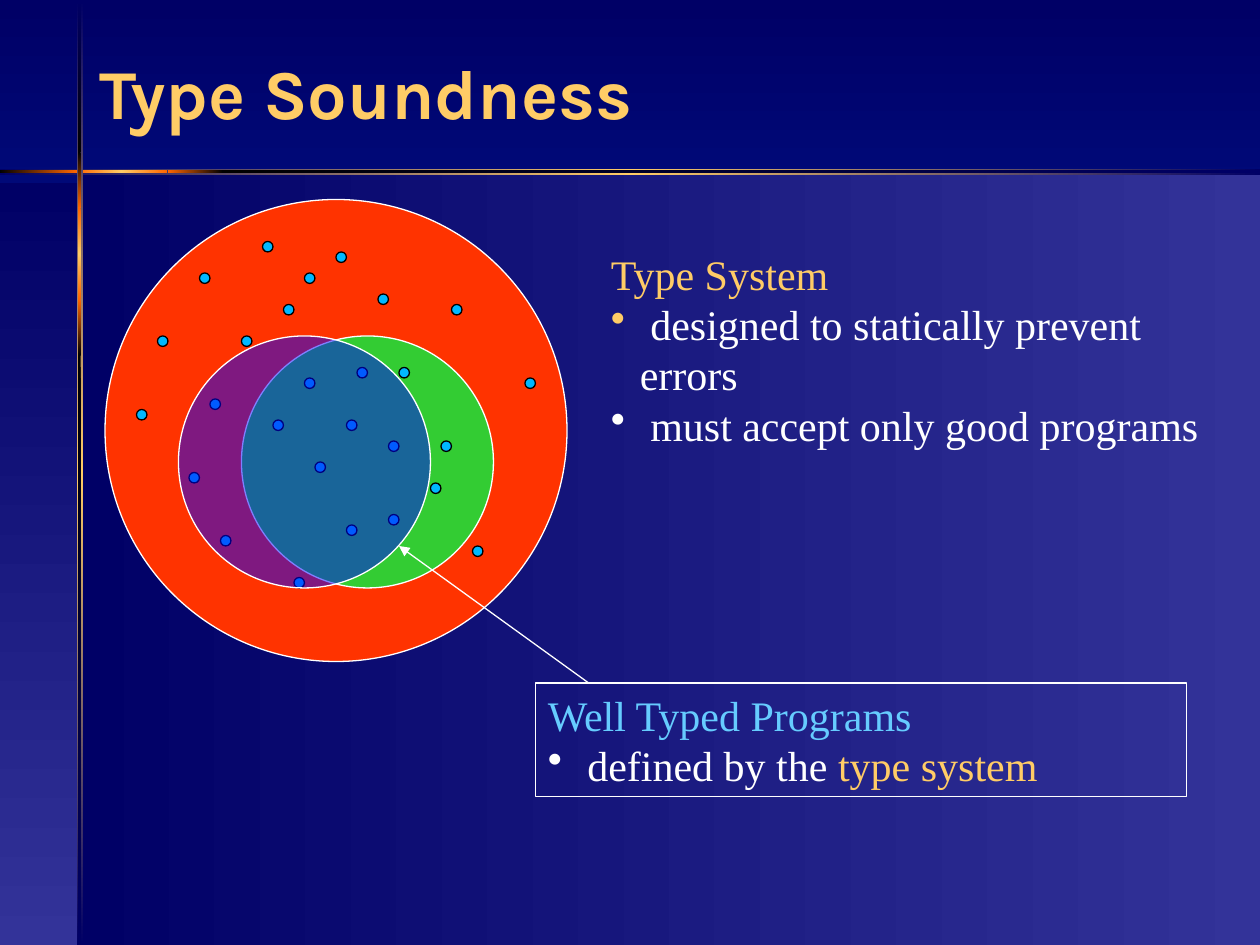
"""Build the Type Soundness slide: nested program sets with two captions."""
from lxml.etree import SubElement
from pptx import Presentation
from pptx.dml.color import RGBColor
from pptx.enum.shapes import MSO_CONNECTOR, MSO_SHAPE
from pptx.enum.text import MSO_ANCHOR, PP_ALIGN
from pptx.oxml.ns import qn
from pptx.util import Inches, Pt

COLORS = {
    "navy": "000066", "royal": "0033CC", "indigo": "333399", "gold": "FFCC66",
    "orange": "FF6600", "black": "000000", "white": "FFFFFF", "red": "FF3300",
    "green": "33CC33", "blue": "0000FF", "cyan": "00B8FF", "sky": "66CCFF",
}
BODY_FONT = "Times New Roman"
GLOW = ["orange", "gold", "orange"]
RULE = ["navy", "gold", "navy"]

BANDS = [
    ((0.62, 1.36, 9.38, 6.14), ["indigo", "navy"], 180),
    ((0, 1.45, 0.62, 6.05), ["navy", "indigo"], 90),
    ((0, 1.34, 10, 0.05), RULE, 180),
    ((1.33, 1.35, 0.44, 0.02), ["black", "orange"], 180),
    ((0, 1.35, 0.61, 0.02), ["orange", "black"], 180),
    ((1.77, 1.35, 8.23, 0.02), ["navy", "black"], 180),
    ((0.6, 1.35, 0.73, 0.02), GLOW, 180),
    ((0.61, 0, 0.05, 7.5), RULE, 90),
    ((0.62, 1.65, 0.02, 0.73), GLOW, 90),
    ((0.62, 0.01, 0.02, 1.2), ["navy", "black"], 90),
    ((0.62, 2.82, 0.02, 4.68), ["black", "navy"], 90),
    ((0.62, 2.38, 0.02, 0.44), ["orange", "black"], 90),
    ((0.62, 1.21, 0.02, 0.44), ["black", "orange"], 90),
]

GRID = 1 / 12
ALL_PROGRAMS = (10, 19, 44)
GOOD_PROGRAMS = (23, 32, 24)
WELL_TYPED = (17, 32, 24)
DOTS = [
    (19, 26), (15, 32), (25, 23), (29, 26), (23, 32), (27, 29), (20, 38),
    (18, 45), (21, 51), (32, 24), (36, 28), (26, 40), (37, 42), (30, 44),
    (34, 35), (41, 46), (33, 50), (33, 40), (28, 55), (45, 52), (42, 42),
    (43, 29), (37, 49), (29, 36), (38, 35), (13, 39), (50, 36),
]
POINTER = (56, 65, 38, 52)

TYPE_SYSTEM = [
    (None, [("Type System", "gold")]),
    ("gold", [(" ", "gold"), ("designed to statically prevent errors", "white")]),
    ("white", [(" must accept only good programs", "white")]),
]
WELL_TYPED_NOTE = [
    (None, [("Well Typed Programs", "sky")]),
    ("white", [(" defined by the ", "white"), ("type system", "gold")]),
]


def rgb(name):
    return RGBColor.from_string(COLORS[name])


def add_gradient(props, names, angle):
    """Swap the solid fill in props for evenly spaced gradient stops."""
    solid = props.find(qn("a:solidFill"))
    grad = props.makeelement(qn("a:gradFill"), {"rotWithShape": "1"})
    props.replace(solid, grad)
    stops = SubElement(grad, qn("a:gsLst"))
    for i, name in enumerate(names):
        pos = str(100000 * i // (len(names) - 1))
        stop = SubElement(stops, qn("a:gs"), pos=pos)
        SubElement(stop, qn("a:srgbClr"), val=COLORS[name])
    SubElement(grad, qn("a:lin"), ang=str(angle * 60000), scaled="0")


def add_shape(s, kind, box, fill=None, line=None):
    sp = s.shapes.add_shape(kind, *map(Inches, box))
    sp.shadow.inherit = False
    if fill:
        sp.fill.solid()
        sp.fill.fore_color.rgb = rgb(fill)
    else:
        sp.fill.background()
    if line:
        sp.line.color.rgb = rgb(line)
        sp.line.width = Pt(0.75)
    else:
        sp.line.fill.background()
    return sp


def add_circle(s, circle, fill, line="white"):
    x, y, size = (v * GRID for v in circle)
    return add_shape(s, MSO_SHAPE.OVAL, (x, y, size, size), fill, line)


def add_run(p, text, color, font=BODY_FONT, size=24, bold=False):
    r = p.add_run()
    r.text = text
    r.font.size, r.font.bold = Pt(size), bold
    r.font.color.rgb = rgb(color)
    r.font.name = font
    return r


def add_bullet(p, color):
    props = p._p.get_or_add_pPr()
    props.set("marL", str(Inches(0.23)))
    props.set("indent", str(-Inches(0.23)))
    SubElement(SubElement(props, qn("a:buClr")), qn("a:srgbClr"), val=COLORS[color])
    SubElement(props, qn("a:buChar"), char="•")


def fill_text(sp, paragraphs):
    tf = sp.text_frame
    tf.word_wrap = True
    tf.vertical_anchor = MSO_ANCHOR.TOP
    for i, (bullet, runs) in enumerate(paragraphs):
        p = tf.add_paragraph() if i else tf.paragraphs[0]
        p.alignment = PP_ALIGN.LEFT
        if bullet:
            add_bullet(p, bullet)
        for text, color in runs:
            add_run(p, text, color)


def add_title(s):
    tf = s.shapes.add_textbox(*map(Inches, (0.69, 0.22, 9.07, 1.09))).text_frame
    tf.word_wrap = True
    tf.vertical_anchor = MSO_ANCHOR.MIDDLE
    p = tf.paragraphs[0]
    p.line_spacing = 0.9
    r = add_run(p, "Type Soundness", "gold", "Karla", 40, True)
    solid = r._r.rPr.find(qn("a:solidFill"))
    effects = solid.makeelement(qn("a:effectLst"), {})
    solid.addnext(effects)
    shadow = SubElement(effects, qn("a:outerShdw"), dist="53882", dir="2700000")
    SubElement(shadow, qn("a:srgbClr"), val=COLORS["black"])


def add_pointer(s):
    ends = [Inches(v * GRID) for v in POINTER]
    line = s.shapes.add_connector(MSO_CONNECTOR.STRAIGHT, *ends)
    line.line.color.rgb = rgb("white")
    line.line.width = Pt(0.75)
    SubElement(line.line._get_or_add_ln(), qn("a:tailEnd"), type="triangle")
    SubElement(line._element.spPr, qn("a:effectLst"))


def main():
    prs = Presentation()
    prs.slide_width, prs.slide_height = Inches(10), Inches(7.5)
    s = prs.slides.add_slide(prs.slide_layouts[6])
    s.background.fill.solid()
    add_gradient(s._element.find(".//" + qn("p:bgPr")), ["navy", "royal"], 90)
    for box, names, angle in BANDS:
        band = add_shape(s, MSO_SHAPE.RECTANGLE, box, names[0])
        add_gradient(band._element.spPr, names, angle)

    add_title(s)
    add_circle(s, ALL_PROGRAMS, "red")
    add_circle(s, GOOD_PROGRAMS, "green")
    add_pointer(s)
    for x, y in DOTS:
        add_circle(s, (x, y, 1), "cyan", "black")

    fill_text(s.shapes.add_textbox(*map(Inches, (4.75, 1.92, 5.17, 1.3))), TYPE_SYSTEM)
    note = add_shape(s, MSO_SHAPE.RECTANGLE, (4.25, 5.42, 5.17, 0.9), line="white")
    fill_text(note, WELL_TYPED_NOTE)

    overlay = add_circle(s, WELL_TYPED, "blue")
    color = overlay._element.spPr.find(qn("a:solidFill"))[0]
    SubElement(color, qn("a:alpha"), val="50000")
    prs.save("out.pptx")


if __name__ == "__main__":
    main()
